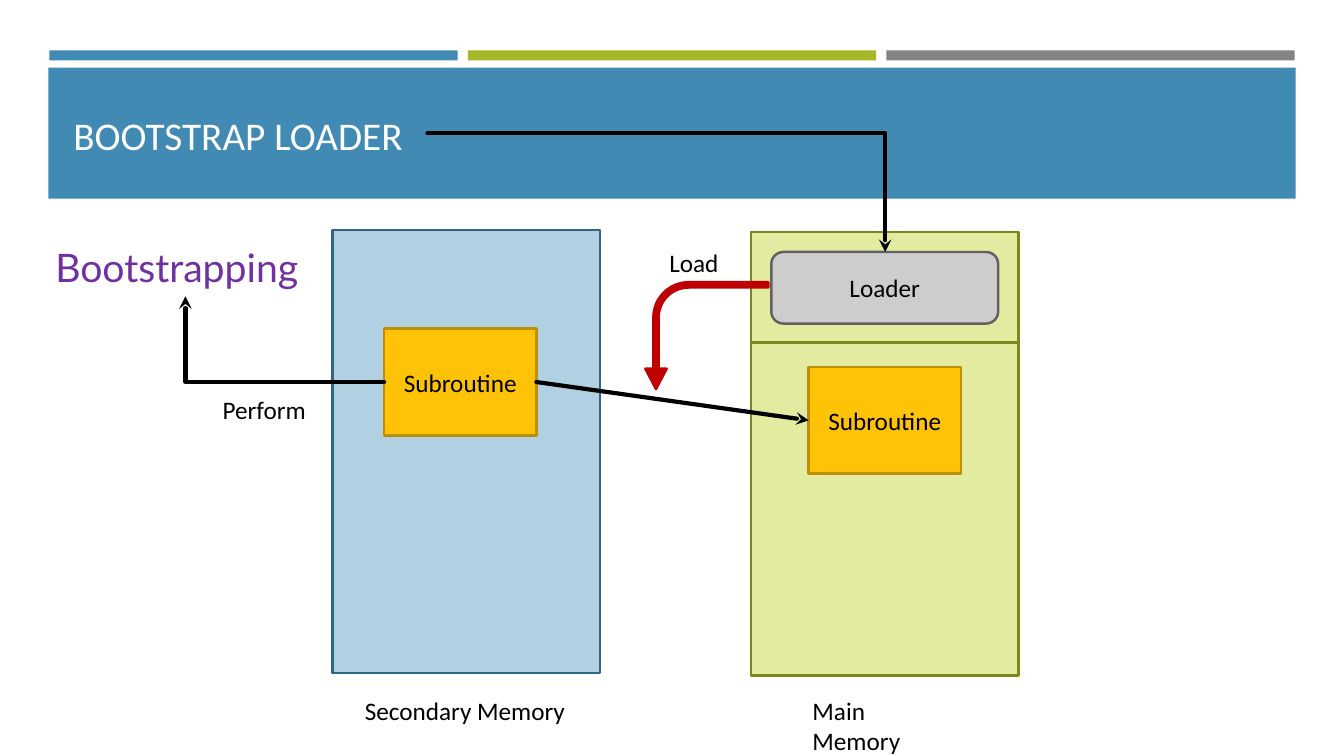
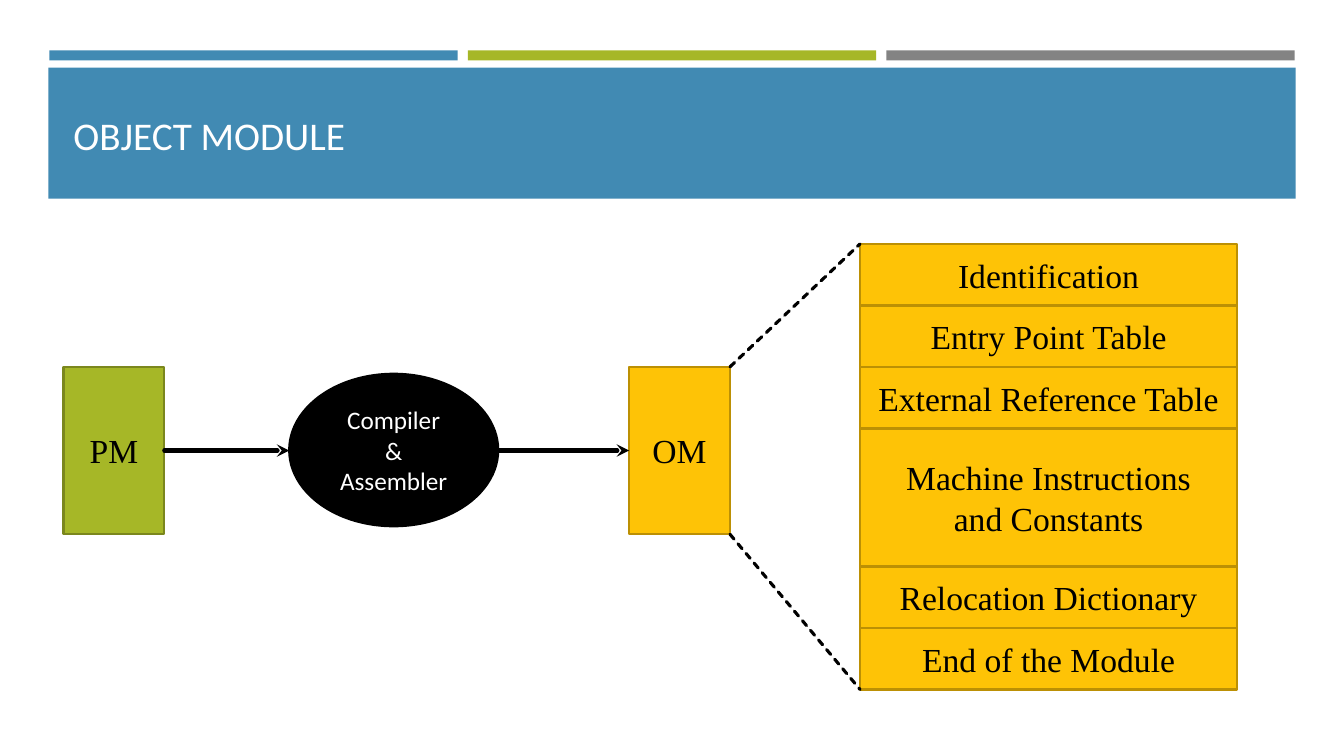
from lxml import etree
from pptx import Presentation
from pptx import util as u
from pptx.dml.color import RGBColor
from pptx.enum import dml, shapes, text
from pptx.oxml.ns import qn

BLUE, GREEN, GREY = "418AB3", "A6B727", "838383"
GOLD, GOLD_EDGE, GREEN_EDGE = "FEC306", "BC9004", "7B871D"
BLACK, WHITE, RED = "000000", "FFFFFF", "C00000"
SHAPE = shapes.MSO_SHAPE
SERIF = {"size": 24, "font": "Times New Roman"}
LABEL = {"align": text.PP_ALIGN.LEFT, "anchor": text.MSO_ANCHOR.TOP}
SUBROUTINE = {"fill": GOLD, "edge": GOLD_EDGE}


def add_box(page, left, top, width, height, words="", kind=SHAPE.RECTANGLE, fill=None, edge=None,
            size=18, font="Calibri", color=BLACK, align=text.PP_ALIGN.CENTER, anchor=text.MSO_ANCHOR.MIDDLE):
    place = [u.Inches(value) for value in (left, top, width, height)]
    if fill:
        box = page.shapes.add_shape(kind, *place)
        box.shadow.inherit = False
        box.fill.solid()
        box.fill.fore_color.rgb = RGBColor.from_string(fill)
        if edge:
            box.line.color.rgb = RGBColor.from_string(edge)
            box.line.width = u.Pt(1.75)
        else:
            box.line.fill.background()
    else:
        box = page.shapes.add_textbox(*place)
    if words:
        frame = box.text_frame
        frame.word_wrap = True
        frame.vertical_anchor = anchor
        frame.text = words
        for para in frame.paragraphs:
            para.alignment = align
            para.font.size = u.Pt(size)
            para.font.name = font
            para.font.color.rgb = RGBColor.from_string(color)
    return box


def add_line(page, start, end, color=BLACK, width=3, arrow=True, bent=False, dashed=False):
    kind = shapes.MSO_CONNECTOR.ELBOW if bent else shapes.MSO_CONNECTOR.STRAIGHT
    line = page.shapes.add_connector(kind, *[u.Inches(value) for value in (*start, *end)])
    line.line.color.rgb = RGBColor.from_string(color)
    line.line.width = u.Pt(width)
    if dashed:
        line.line.dash_style = dml.MSO_LINE.SQUARE_DOT
    properties = line._element.spPr
    outline = properties.find(qn("a:ln"))
    outline.set("cap", "rnd")
    if arrow:
        etree.SubElement(outline, qn("a:tailEnd"), type="stealth")
    if bent:
        properties.find(qn("a:prstGeom")).set("prst", "bentConnector2")
    etree.SubElement(properties, qn("a:effectLst"))


deck = Presentation()
deck.slide_width = u.Inches(13.33)
deck.slide_height = u.Inches(7.5)

pages = []
for title in ("BOOTSTRAP LOADER", "OBJECT MODULE"):
    page = deck.slides.add_slide(deck.slide_layouts[6])
    for index, color in enumerate((BLUE, GREEN, GREY)):
        add_box(page, 0.49 + index * 4.15, 0.5, 4.05, 0.1, fill=color)
    add_box(page, 0.48, 0.67, 12.37, 1.3, fill=BLUE)
    add_box(page, 0.63, 0.8, 12.06, 1.08, title, size=28, color=WHITE, align=text.PP_ALIGN.LEFT)
    pages.append(page)
loader_page, module_page = pages

add_box(loader_page, 3.3, 2.28, 2.65, 4.4, fill="B1D1E3", edge="306684")
add_box(loader_page, 0.45, 2.36, 2.77, 0.57, "Bootstrapping", size=28, font="Lato", color="7030A0", **LABEL)
add_box(loader_page, 3.81, 3.26, 1.51, 1.06, "Subroutine", **SUBROUTINE)
add_line(loader_page, (3.81, 3.79), (1.84, 2.94), bent=True)

add_box(loader_page, 7.45, 2.3, 2.65, 4.4, fill="E2EBA0", edge=GREEN_EDGE)
add_box(loader_page, 7.65, 2.5, 2.25, 0.71, "Loader", kind=SHAPE.ROUNDED_RECTANGLE, fill="CDCDCD", edge="616161")
add_line(loader_page, (7.45, 3.4), (10.1, 3.4), color=GREEN_EDGE, width=1.75, arrow=False)
add_box(loader_page, 8.02, 3.64, 1.51, 1.06, "Subroutine", **SUBROUTINE)
add_line(loader_page, (5.32, 3.79), (8.02, 4.17))

load_arrow = add_box(loader_page, 6.48, 2.72, 1.06, 1.22, kind=SHAPE.BENT_ARROW, fill=RED, edge=RED)
for index, value in enumerate((0.05, 0.1, 0.19, 0.33)):
    load_arrow.adjustments[index] = value
load_arrow.rotation = 270
load_arrow._element.spPr.find(qn("a:xfrm")).set("flipH", "1")

for left, top, width, words in (
    (2.11, 3.86, 1.04, "Perform"),
    (3.52, 6.85, 2.2, "Secondary Memory"),
    (7.96, 6.85, 1.63, "Main Memory"),
    (6.54, 2.4, 0.7, "Load"),
):
    add_box(loader_page, left, top, width, 0.4, words, **LABEL)
add_line(loader_page, (4.24, 1.32), (8.78, 2.5), bent=True)

table_left, table_top = 8.53, 2.42
row_top = table_top
for words, height in (
    ("Identification", 0.61),
    ("Entry Point Table", 0.61),
    ("External Reference Table", 0.61),
    ("Machine Instructions\nand Constants", 1.37),
    ("Relocation Dictionary", 0.61),
    ("End of the Module", 0.61),
):
    add_box(module_page, table_left, row_top, 3.74, height, words, fill=GOLD, edge=GOLD_EDGE, **SERIF)
    row_top += height

for left, words, fill, edge in ((0.63, "PM", GREEN, GREEN_EDGE), (6.24, "OM", GOLD, GOLD_EDGE)):
    add_box(module_page, left, 3.64, 1, 1.66, words, fill=fill, edge=edge, **SERIF)
add_box(module_page, 2.87, 3.71, 2.07, 1.51, "Compiler\n&\nAssembler", kind=SHAPE.OVAL,
        fill=BLACK, edge=BLACK, color=WHITE)

for start, end in ((1.63, 2.87), (4.94, 6.24)):
    add_line(module_page, (start, 4.47), (end, 4.47))
for module_edge, table_edge in ((3.64, table_top), (5.3, row_top)):
    add_line(module_page, (7.24, module_edge), (table_left, table_edge), width=2.25, arrow=False, dashed=True)

deck.save("out.pptx")
